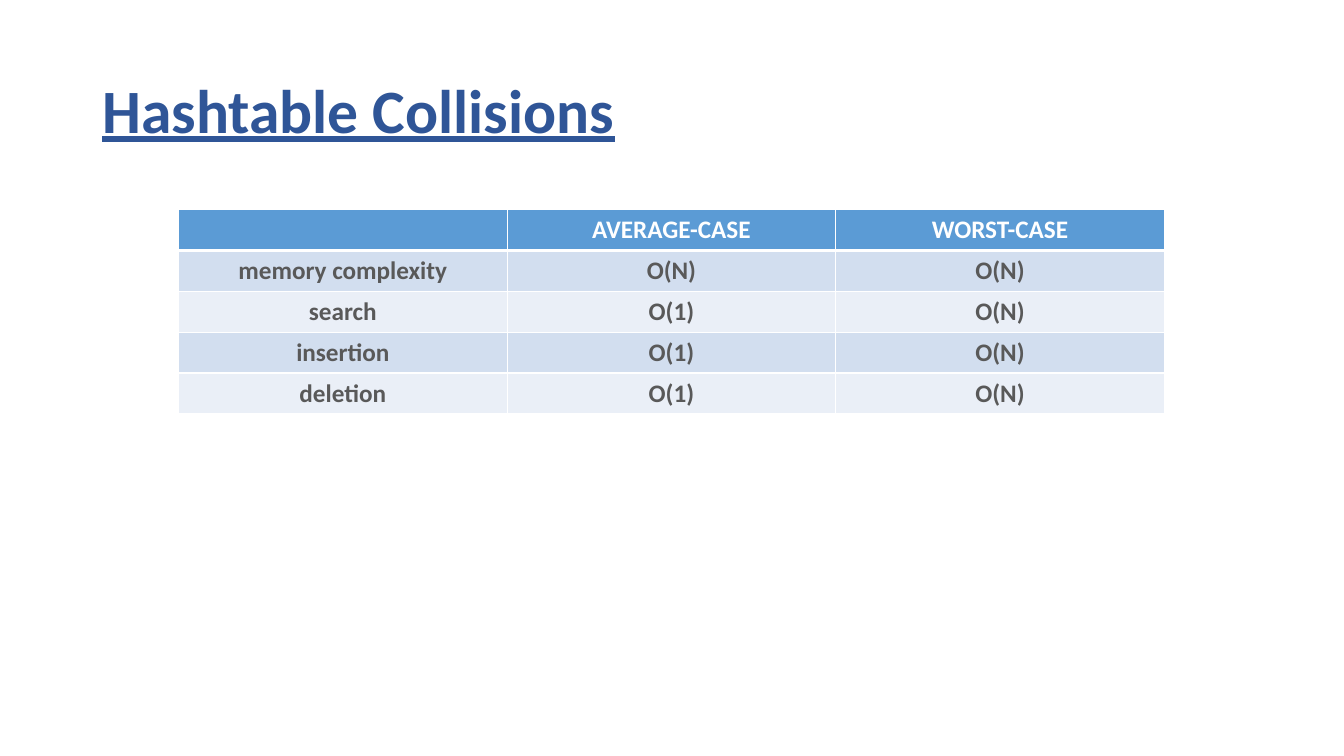
from lxml.etree import SubElement
from pptx import Presentation
from pptx.dml.color import RGBColor
from pptx.enum.text import MSO_ANCHOR, PP_ALIGN
from pptx.oxml.ns import qn
from pptx.util import Cm, Pt

TITLE_BLUE = RGBColor(0x2F, 0x55, 0x97)
HEADER_BLUE = RGBColor(0x5B, 0x9B, 0xD5)
BAND_DARK = RGBColor(0xD2, 0xDE, 0xEF)
BAND_LIGHT = RGBColor(0xEA, 0xEF, 0xF7)
BODY_GRAY = RGBColor(0x59, 0x59, 0x59)
WHITE = RGBColor(0xFF, 0xFF, 0xFF)
FONT = "Calibri"

COMPLEXITIES = [
    ("", "AVERAGE-CASE", "WORST-CASE"),
    ("memory complexity", "O(N)", "O(N)"),
    ("search", "O(1)", "O(N)"),
    ("insertion", "O(1)", "O(N)"),
    ("deletion", "O(1)", "O(N)"),
]


def style_font(paragraph, size, color):
    font = paragraph.font
    font.name = FONT
    font.size = Pt(size)
    font.bold = True
    font.color.rgb = color


def add_border(cell, side, width):
    line = SubElement(cell._tc.get_or_add_tcPr(), qn(f"a:{side}"), w=str(Pt(width)))
    fill = SubElement(line, qn("a:solidFill"))
    SubElement(fill, qn("a:srgbClr"), val=str(WHITE))


presentation = Presentation()
presentation.slide_width = Cm(33.87)
presentation.slide_height = Cm(19.05)
slide = presentation.slides.add_slide(presentation.slide_layouts[6])

# Title
title = slide.shapes.add_textbox(Cm(2.33), Cm(1.01), Cm(29.21), Cm(3.68))
title.text_frame.word_wrap = True
title.text_frame.vertical_anchor = MSO_ANCHOR.MIDDLE
paragraph = title.text_frame.paragraphs[0]
paragraph.text = "Hashtable Collisions"
paragraph.line_spacing = 0.9
style_font(paragraph, 44, TITLE_BLUE)
paragraph.font.underline = True

# Complexity table
row_count, column_count = len(COMPLEXITIES), len(COMPLEXITIES[0])
table = slide.shapes.add_table(
    row_count, column_count, Cm(4.5), Cm(5.28), Cm(24.84), Cm(5.15)
).table

for row, texts in enumerate(COMPLEXITIES):
    is_header = row == 0
    band = HEADER_BLUE if is_header else BAND_DARK if row % 2 else BAND_LIGHT
    for column, text in enumerate(texts):
        cell = table.cell(row, column)
        # The line under the header is thicker than the rest
        add_border(cell, "lnL", 1)
        add_border(cell, "lnR", 1)
        add_border(cell, "lnT", 3 if row == 1 else 1)
        add_border(cell, "lnB", 3 if is_header else 1)
        cell.fill.solid()
        cell.fill.fore_color.rgb = band
        paragraph = cell.text_frame.paragraphs[0]
        paragraph.text = text
        paragraph.alignment = PP_ALIGN.CENTER
        style_font(paragraph, 18, WHITE if is_header else BODY_GRAY)

presentation.save("out.pptx")
